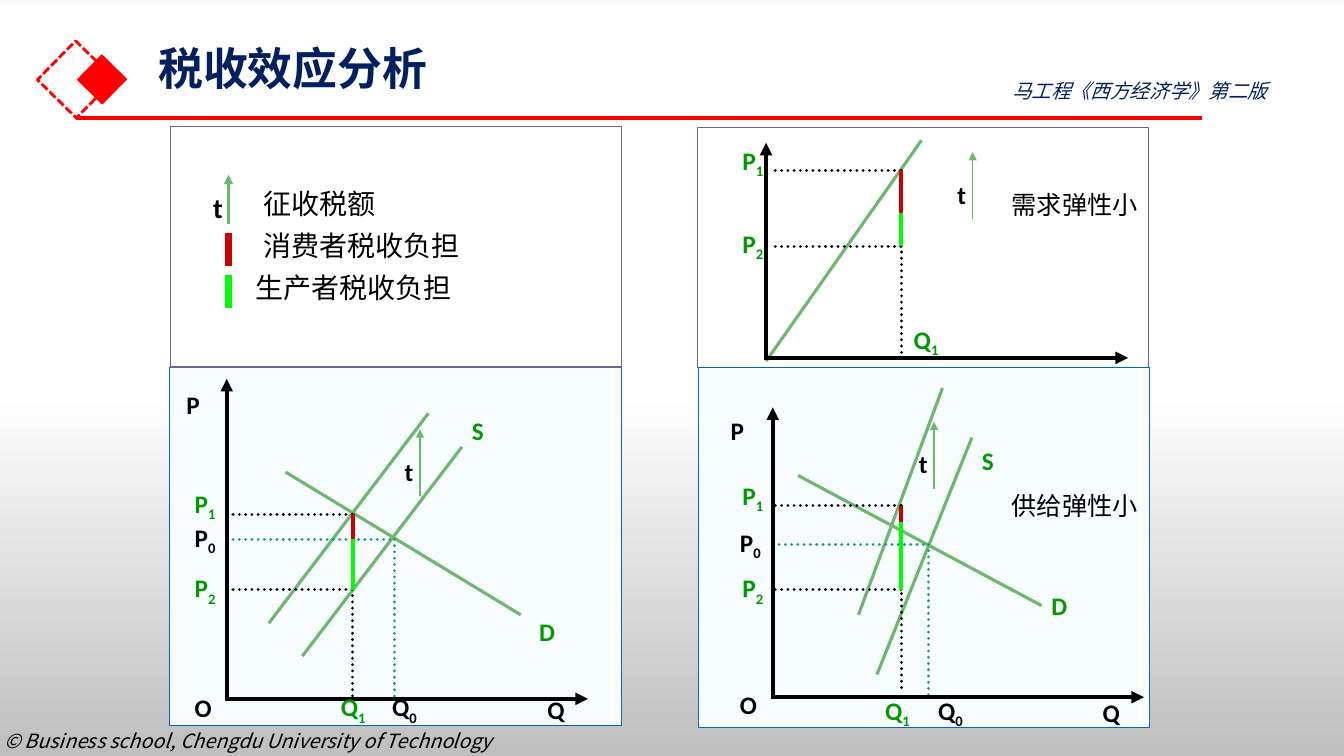
from lxml import etree
from pptx import Presentation
from pptx.dml.color import RGBColor as RGB
from pptx.enum.dml import MSO_LINE as Dash
from pptx.enum.shapes import MSO_CONNECTOR as Link, MSO_SHAPE as Shape
from pptx.enum.text import MSO_ANCHOR as Anchor, PP_ALIGN as Align
from pptx.oxml.ns import qn
from pptx.util import Inches, Pt

# The slide is a grid of 160 columns by 90 rows
COLUMNS, ROWS = 160, 90
WIDTH, HEIGHT = Inches(13.33), Inches(7.5)
CJK, LATIN = "Noto Sans CJK SC", "Calibri"
COLOURS = {
    "black": "000000", "white": "FFFFFF", "navy": "002060", "red": "FF0000",
    "curve": "6FB76F", "label": "009900", "equilibrium": "1D9A78",
    "consumer": "CC0000", "producer": "00FF00", "pale": "F7FCFF",
    "top edge": "666699", "bottom edge": "0563C1",
}
BACKDROP = [(0, "F9F9F9"), (1, "FFFFFF"), (52, "FFFFFF"), (100, "BFBFBF")]

DEMAND_INELASTIC = {
    "origin": (91.2, 42.6), "axis_ends": (134.3, 17),
    "curves": [((91.2, 43), (109.7, 16.7))],
    "q1": 107.3, "p1": 20.3, "split": 25.3, "p2": 29.3,
    "dots_left": 92.3, "dots_bottom": 42.2, "tax": (115.8, 18.1),
    "labels": {"Q1": (107.6, 38.6), "P1": (87.2, 17.3), "P2": (87.2, 27.2)},
}
GENERAL_CASE = {
    "origin": (27, 83.2), "axis_ends": (70, 45.1),
    "curves": [((36, 78.1), (55, 53.2)), ((32, 74.2), (51, 49.2)),
               ((34, 56.2), (62, 73.2))],
    "q1": 42, "p1": 61.2, "split": 64.2, "p2": 70.2,
    "dots_left": 27, "dots_bottom": 83.2, "tax": (50, 51.1),
    "equilibrium": (47, 64.2),
    "labels": {"S": (55, 49.2), "D": (63, 73.2), "P": (21, 46.2),
               "O": (22, 82.2), "Q": (64, 82.4), "P0": (22, 62.2),
               "Q0": (45.5, 82.4), "Q1": (39.4, 82.4), "P1": (22, 58.2),
               "P2": (22, 68.2)},
}
SUPPLY_INELASTIC = {
    "origin": (92, 83), "axis_ends": (136.2, 48.5),
    "curves": [((104.4, 80.3), (115.7, 52.1)), ((102.2, 73.2), (112.2, 46.2)),
               ((95, 56.6), (124, 72.1))],
    "q1": 107.3, "p1": 60.2, "split": 62.2, "p2": 70.2,
    "dots_left": 92.3, "dots_bottom": 82.2, "tax": (111.2, 50.2),
    "equilibrium": (110.5, 64.8),
    "labels": {"S": (115.7, 52.8), "D": (124, 70.1), "P": (85.8, 49.2),
               "O": (86.9, 81.9), "Q": (130.1, 82.8), "P0": (86.9, 62.8),
               "Q0": (110.5, 82.8), "Q1": (104.2, 82.8), "P1": (87.2, 57.2),
               "P2": (87.2, 68.2)},
}


def across(columns):
    return round(WIDTH * columns / COLUMNS)


def down(rows):
    return round(HEIGHT * rows / ROWS)


def place(column, row, columns, rows):
    return across(column), down(row), across(columns), down(rows)


def colour(name):
    return RGB.from_string(COLOURS[name])


def style_run(run, size, ink, face, bold=False, italic=False):
    font = run.font
    font.size, font.name, font.bold, font.italic = Pt(size), face, bold, italic
    font.color.rgb = colour(ink)
    etree.SubElement(run._r.get_or_add_rPr(), qn("a:ea")).set("typeface", face)


def add_caption(slide, words, spot, size, ink="black", face=CJK, subscript="",
                anchor=Anchor.MIDDLE, wrap=False, **weight):
    frame = slide.shapes.add_textbox(*place(*spot)).text_frame
    frame.word_wrap, frame.vertical_anchor, frame.margin_right = wrap, anchor, 0
    frame.text = words
    line = frame.paragraphs[0]
    if subscript:
        lowered = line.add_run()
        lowered.text = subscript
        lowered._r.get_or_add_rPr().set("baseline", "-25000")
    for run in line.runs:
        style_run(run, size, ink, face, **weight)


def add_line(slide, start, end, ink, weight, dotted=False, arrow=False):
    line = slide.shapes.add_connector(
        Link.STRAIGHT, across(start[0]), down(start[1]), across(end[0]), down(end[1]))
    line.line.color.rgb, line.line.width = colour(ink), Pt(weight)
    outline = line.line._get_or_add_ln()
    if dotted:
        line.line.dash_style = Dash.ROUND_DOT
        outline.set("cap", "rnd")
    if arrow:
        etree.SubElement(outline, qn("a:tailEnd")).set("type", "triangle")
    etree.SubElement(line._element.spPr, qn("a:effectLst"))


def add_box(slide, spot, edge, weight, fill=None, dash=None, rotation=0):
    box = slide.shapes.add_shape(Shape.RECTANGLE, *place(*spot))
    box.shadow.inherit = False
    box.rotation = rotation
    box.line.color.rgb, box.line.width = colour(edge), Pt(weight)
    if dash:
        box.line.dash_style = dash
    if fill:
        box.fill.solid()
        box.fill.fore_color.rgb = colour(fill)
    else:
        box.fill.background()


def add_tax_arrow(slide, column, row):
    add_line(slide, (column, row + 8), (column, row), "curve", 1, arrow=True)
    add_caption(slide, "t", (column - 3, row + 3, 3, 4), 18, face=LATIN, bold=True)


def add_diagram(slide, origin, axis_ends, curves, q1, p1, split, p2, dots_left,
                dots_bottom, tax, labels, equilibrium=None):
    left, bottom = origin
    right, top = axis_ends
    for start, end in curves:
        add_line(slide, start, end, "curve", 2.25)
    # Dotted guides to the axes
    guides = [((dots_left, p1), (q1, p1), "black"),
              ((dots_left, p2), (q1, p2), "black"),
              ((q1, p1), (q1, dots_bottom), "black")]
    if equilibrium:
        q0, p0 = equilibrium
        guides += [((left, p0), (q0, p0), "equilibrium"),
                   ((q0, p0), (q0, bottom), "equilibrium")]
    for start, end, ink in guides:
        add_line(slide, start, end, ink, 2.25, dotted=True)
    # Axes
    add_line(slide, origin, (right, bottom), "black", 3, arrow=True)
    add_line(slide, (left, bottom + 0.2), (left, top), "black", 3, arrow=True)
    # Shares of the tax burden
    add_line(slide, (q1, p1), (q1, split), "consumer", 3)
    add_line(slide, (q1, split), (q1, p2), "producer", 3)
    add_tax_arrow(slide, *tax)
    for name, (column, row) in labels.items():
        ink = "black" if name in ("P", "O", "Q", "P0", "Q0") else "label"
        add_caption(slide, name[0], (column, row, 5, 4), 18, ink, LATIN,
                    subscript=name[1:], bold=True)


def add_legend(slide):
    add_line(slide, (27.2, 26.7), (27.2, 20.8), "curve", 2.25, arrow=True)
    add_caption(slide, "t", (24.2, 22.7, 3, 4), 20, face=LATIN, bold=True)
    entries = [("征收税额", 30.2, None), ("消费者税收负担", 30.2, "consumer"),
               ("生产者税收负担", 29.2, "producer")]
    for index, (words, column, key) in enumerate(entries):
        row = 22.7 + 5 * index
        add_caption(slide, words, (column, row, 26, 3), 20)
        if key:
            add_line(slide, (27.2, row), (27.2, row + 4), key, 4.5)


def set_backdrop(slide):
    fill = slide.background.fill
    fill.gradient()
    gradient = slide.background._cSld.bg.bgPr.find(qn("a:gradFill"))
    stops = gradient.find(qn("a:gsLst"))
    for stop in list(stops):
        stops.remove(stop)
    for share, shade in BACKDROP:
        stop = etree.SubElement(stops, qn("a:gs"), pos=str(share * 1000))
        etree.SubElement(stop, qn("a:srgbClr"), val=shade)
    gradient.find(qn("a:lin")).set("ang", "5400000")


def add_header(slide):
    add_box(slide, (5.8, 6.2, 6.5, 6.5), "red", 2, dash=Dash.SQUARE_DOT, rotation=314.5)
    add_box(slide, (10.1, 7.4, 4.1, 4.1), "red", 1, fill="red", rotation=314.5)
    add_line(slide, (9, 14.05), (143.1, 14.05), "red", 2.25)
    title = slide.shapes.title
    title.left, title.top, title.width, title.height = place(17.65, 5.6, 138, 9)
    frame = title.text_frame
    frame.text = "税收效应分析"
    frame.vertical_anchor, frame.margin_top = Anchor.TOP, 0
    heading = frame.paragraphs[0]
    heading.alignment, heading.line_spacing = Align.LEFT, 0.9
    style_run(heading.runs[0], 32, "navy", CJK, bold=True)
    add_caption(slide, "马工程《西方经济学》第二版", (119.3, 8.8, 38.9, 4), 14, "navy",
                anchor=Anchor.TOP, wrap=True, italic=True)


def main():
    deck = Presentation()
    deck.slide_width, deck.slide_height = WIDTH, HEIGHT
    slide = deck.slides.add_slide(deck.slide_layouts[5])
    set_backdrop(slide)
    add_header(slide)
    # Four panels
    add_box(slide, (83, 15.15, 53.75, 28.65), "top edge", 0.75, "white")
    add_box(slide, (83.2, 43.8, 53.7, 42.8), "bottom edge", 0.75, "pale")
    add_box(slide, (20.2, 43.8, 53.8, 42.6), "bottom edge", 0.75, "pale")
    add_box(slide, (20.3, 15.1, 53.7, 28.6), "top edge", 0.75, "white")
    # Panel contents
    add_legend(slide)
    for case in (GENERAL_CASE, DEMAND_INELASTIC, SUPPLY_INELASTIC):
        add_diagram(slide, **case)
    for words, row in (("需求弹性小", 22.3), ("供给弹性小", 58.2)):
        add_caption(slide, words, (119.25, row, 17, 4), 18)
    # Footer
    add_caption(slide, "© Business school, Chengdu University of Technology",
                (-0.7, 86.2, 63.7, 4), 14, anchor=Anchor.TOP, italic=True)
    deck.save("out.pptx")


if __name__ == "__main__":
    main()
